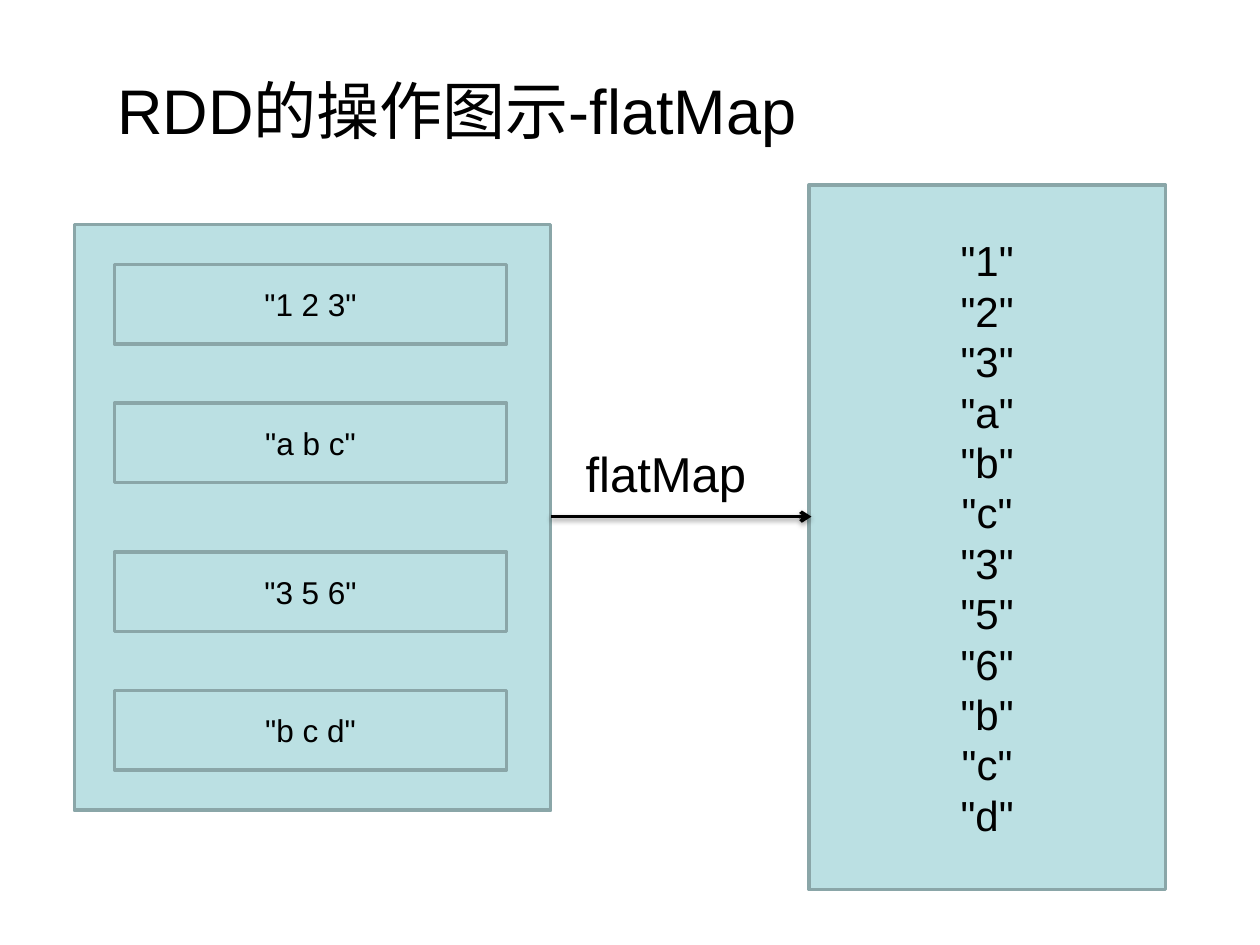
from dataclasses import dataclass

from lxml import etree
from pptx import Presentation
from pptx import util as u
from pptx.dml.color import RGBColor
from pptx.enum import shapes, text
from pptx.oxml import ns

BLACK = RGBColor(0x00, 0x00, 0x00)
PALE_TEAL = RGBColor(0xBB, 0xE0, 0xE3)
GREY_TEAL = RGBColor(0x8A, 0xA6, 0xA8)

LABEL_FRAME = {
    "word_wrap": True,
    "auto_size": text.MSO_AUTO_SIZE.SHAPE_TO_FIT_TEXT,
    "vertical_anchor": text.MSO_ANCHOR.TOP,
}
BOX_FRAME = {
    "word_wrap": True,
    "auto_size": text.MSO_AUTO_SIZE.NONE,
    "vertical_anchor": text.MSO_ANCHOR.MIDDLE,
}


@dataclass(frozen=True)
class Area:
    left: float
    top: float
    width: float
    height: float

    def lengths(self) -> list:
        return [u.Pt(n) for n in (self.left, self.top, self.width, self.height)]


@dataclass(frozen=True)
class Box:
    area: Area
    lines: tuple = ()
    size: float = 18


def apply(target, values: dict) -> None:
    for name, value in values.items():
        setattr(target, name, value)


def write(frame, lines: tuple, size: float, align, frame_format: dict) -> None:
    apply(frame, frame_format)
    frame.text = "\n".join(lines)
    for paragraph in frame.paragraphs:
        paragraph.alignment = align
        apply(paragraph.font, {"name": "Arial", "size": u.Pt(size)})
        paragraph.font.color.rgb = BLACK


def draw_box(slide, box: Box) -> None:
    rect = slide.shapes.add_shape(shapes.MSO_SHAPE.RECTANGLE, *box.area.lengths())
    rect.shadow.inherit = False
    rect.fill.solid()
    rect.fill.fore_color.rgb = PALE_TEAL
    rect.line.color.rgb = GREY_TEAL
    rect.line.width = u.Pt(2)
    if box.lines:
        write(rect.text_frame, box.lines, box.size, text.PP_ALIGN.CENTER, BOX_FRAME)


def draw_arrow(slide, start: float, end: float, y: float) -> None:
    arrow = slide.shapes.add_connector(
        shapes.MSO_CONNECTOR.STRAIGHT, u.Pt(start), u.Pt(y), u.Pt(end), u.Pt(y)
    )
    arrow.line.color.rgb = BLACK
    arrow.line.width = u.Pt(2)
    properties = arrow.element.spPr
    etree.SubElement(properties.find(ns.qn("a:ln")), ns.qn("a:tailEnd"), type="arrow")
    effects = etree.SubElement(properties, ns.qn("a:effectLst"))
    shadow = etree.SubElement(
        effects, ns.qn("a:outerShdw"),
        blurRad=str(u.Pt(3.1)), dist=str(u.Pt(1.6)), dir="5400000", rotWithShape="0",
    )
    shade = etree.SubElement(shadow, ns.qn("a:srgbClr"), val=str(BLACK))
    etree.SubElement(shade, ns.qn("a:alpha"), val="38000")


def main() -> None:
    deck = Presentation()
    apply(deck, {"slide_width": u.Pt(720), "slide_height": u.Pt(540)})
    slide = deck.slides.add_slide(deck.slide_layouts[5])

    title = slide.shapes.title
    apply(title, dict(zip(("left", "top", "width", "height"),
                          Area(59.8, 37.4, 529.2, 50.4).lengths())))
    write(title.text_frame, ("RDD的操作图示-flatMap",), 36, text.PP_ALIGN.LEFT, LABEL_FRAME)

    draw_box(slide, Box(Area(42.5, 128.2, 272.2, 334.8)))
    records = {151.2: '"1 2 3"', 230.4: '"a b c"', 315.4: '"3 5 6"', 394.6: '"b c d"'}
    for top, record in records.items():
        draw_box(slide, Box(Area(65.5, top, 223.9, 45.4), (record,)))

    flattened = tuple(f'"{item}"' for item in "123abc356bcd")
    draw_box(slide, Box(Area(462.2, 105.8, 203.8, 402.5), flattened, 24))

    draw_arrow(slide, 314.6, 463.7, 295.2)
    operation = slide.shapes.add_textbox(*Area(327.6, 249.8, 132.5, 41).lengths())
    write(operation.text_frame, ("flatMap",), 28, text.PP_ALIGN.LEFT, LABEL_FRAME)

    deck.save("out.pptx")


if __name__ == "__main__":
    main()
